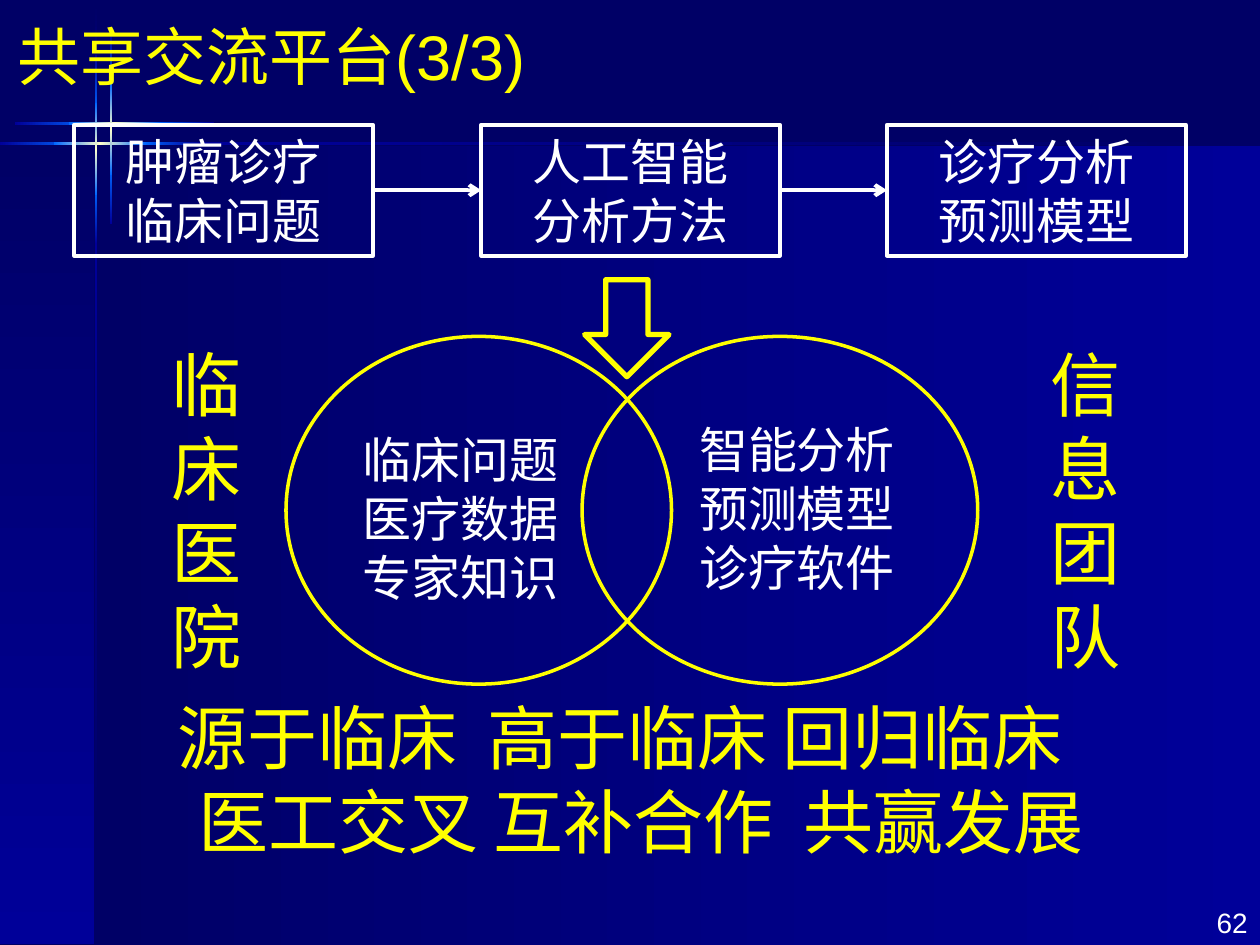
from dataclasses import dataclass

from lxml import etree
from pptx import Presentation
from pptx.dml.color import RGBColor
from pptx.enum.shapes import MSO_CONNECTOR, MSO_SHAPE
from pptx.enum.text import MSO_ANCHOR, MSO_AUTO_SIZE, PP_ALIGN
from pptx.oxml.ns import qn
from pptx.util import Inches, Pt

RECT, OVAL, DOWN = MSO_SHAPE.RECTANGLE, MSO_SHAPE.OVAL, MSO_SHAPE.DOWN_ARROW
LEFT, CENTER, RIGHT = PP_ALIGN.LEFT, PP_ALIGN.CENTER, PP_ALIGN.RIGHT
TOP, MIDDLE = MSO_ANCHOR.TOP, MSO_ANCHOR.MIDDLE
NIGHT, NAVY, BLUE, CREAM = "000066", "000099", "0066FF", "FFFFCC"
WHITE, YELLOW = "FFFFFF", "FFFF00"
TITLE_ONLY = 5
THIN = 0.02


@dataclass
class Box:
    left: float
    top: float
    width: float
    height: float

    def emu(self) -> list:
        return [Inches(v) for v in (self.left, self.top, self.width, self.height)]


@dataclass
class Band:
    box: Box
    colors: tuple
    vertical: bool = False


@dataclass
class Label:
    box: Box
    lines: list
    size: int
    color: str
    align: PP_ALIGN = CENTER


@dataclass
class Outline:
    kind: MSO_SHAPE
    box: Box
    color: str
    weight: float


def rgb(value: str) -> RGBColor:
    return RGBColor.from_string(value)


def add_band(s, band: Band) -> None:
    """Draw a borderless rectangle with evenly spaced gradient stops."""
    sp = s.shapes.add_shape(RECT, *band.box.emu())
    sp.shadow.inherit = False
    sp.line.fill.background()
    sp.fill.gradient()
    sp.fill.gradient_angle = 270 if band.vertical else 0
    gs_list = sp._element.spPr.find(".//" + qn("a:gsLst"))
    for gs in list(gs_list):
        gs_list.remove(gs)
    for i, color in enumerate(band.colors):
        pos = round(100000 * i / (len(band.colors) - 1))
        gs = etree.SubElement(gs_list, qn("a:gs"), pos=str(pos))
        etree.SubElement(gs, qn("a:srgbClr"), val=color)


def cross(dx: float, dy: float) -> list[Band]:
    """Glowing cross: two fading tails and a bright middle in each direction."""
    fades = [(NAVY, BLUE), (BLUE, NAVY), (BLUE, CREAM, BLUE)]
    across = [(0, 0.61), (1.14, 0.44), (0.43, 0.73)]
    down = [(0.44, 0.44), (1.5, 0.44), (0.82, 0.73)]
    return ([Band(Box(x + dx, 1.13 + dy, w, THIN), c) for (x, w), c in zip(across, fades)]
            + [Band(Box(0.75 + dx, y + dy, THIN, h), c, True)
               for (y, h), c in zip(down, fades)])


def add_outline(s, outline: Outline):
    sp = s.shapes.add_shape(outline.kind, *outline.box.emu())
    sp.shadow.inherit = False
    sp.fill.background()
    sp.line.color.rgb = rgb(outline.color)
    sp.line.width = Pt(outline.weight)
    return sp


def write(tf, label: Label, anchor: MSO_ANCHOR) -> None:
    frame = {"word_wrap": True, "auto_size": MSO_AUTO_SIZE.NONE, "vertical_anchor": anchor}
    for name, value in frame.items():
        setattr(tf, name, value)
    for i, line in enumerate(label.lines):
        p = tf.paragraphs[0] if i == 0 else tf.add_paragraph()
        p.alignment = label.align
        r = p.add_run()
        r.text = line
        for name, value in {"name": "Arial", "size": Pt(label.size)}.items():
            setattr(r.font, name, value)
        r.font.color.rgb = rgb(label.color)


def add_label(s, label: Label):
    tf = s.shapes.add_textbox(*label.box.emu()).text_frame
    write(tf, label, TOP)
    return tf


def set_tabs(p, stops: list[float]) -> None:
    tabs = etree.SubElement(p._p.get_or_add_pPr(), qn("a:tabLst"))
    for stop in stops:
        etree.SubElement(tabs, qn("a:tab"), pos=str(Inches(stop)), algn="l")


def add_arrow(s, start, end) -> None:
    """Join the right side of one box to the left side of the next."""
    line = s.shapes.add_connector(MSO_CONNECTOR.STRAIGHT, 0, 0, 0, 0)
    line.begin_connect(start, 3)
    line.end_connect(end, 1)
    line.line.color.rgb = rgb(WHITE)
    line.line.width = Pt(2.25)
    etree.SubElement(line.line._get_or_add_ln(), qn("a:tailEnd"), type="arrow")
    etree.SubElement(line._element.spPr, qn("a:effectLst"))


BANDS = [
    Band(Box(0.75, 1.16, 9.25, 6.34), (NIGHT, NAVY)),
    Band(Box(0, 1.15, 0.75, 6.34), (NIGHT, NAVY), True),
    Band(Box(0.75, 0.02, THIN, 1.21), (NIGHT, NAVY), True),
    Band(Box(0.75, 1.94, THIN, 4.68), (NAVY, NIGHT), True),
    Band(Box(1.53, 1.13, 8.23, THIN), (NAVY, NIGHT)),
    *cross(0, 0),
    *cross(0.12, -0.16),
]
STEPS = [
    (0.59, ["肿瘤诊疗", "临床问题"]),
    (3.82, ["人工智能", "分析方法"]),
    (7.04, ["诊疗分析", "预测模型"]),
]
OUTLINES = [
    Outline(OVAL, Box(2.27, 2.67, 3.06, 2.76), YELLOW, 2),
    Outline(OVAL, Box(4.62, 2.67, 3.14, 2.76), YELLOW, 2),
    Outline(DOWN, Box(4.64, 2.22, 0.67, 0.77), YELLOW, 3),
]
TITLE = Label(Box(0.04, 0.04, 9.06, 0.8), ["共享交流平台(3/3)"], 36, YELLOW, LEFT)
LABELS = [
    Label(Box(9.02, 7.14, 0.98, 0.37), ["62"], 16, WHITE, RIGHT),
    Label(Box(1.26, 2.66, 0.59, 2.79), ["临床医院"], 40, YELLOW),
    Label(Box(8.24, 2.66, 0.69, 2.79), ["信息团队"], 40, YELLOW),
    Label(Box(4.84, 3.28, 2.97, 1.51), ["智能分析", "预测模型", "诊疗软件"], 28, WHITE),
    Label(Box(2.46, 3.36, 2.39, 1.52), ["临床问题", "医疗数据", "专家知识"], 28, WHITE),
]
SLOGAN = Label(Box(0.59, 5.46, 9.06, 2.12),
               ["\t源于临床\t高于临床\t回归临床", "\t医工交叉\t互补合作\t共赢发展"],
               40, YELLOW, LEFT)
SLOGAN_TABS = [[0.72, 3.18, 5.52], [0.89, 3.23, 5.69]]


def main() -> None:
    prs = Presentation()
    prs.slide_width, prs.slide_height = Inches(10), Inches(7.5)
    s = prs.slides.add_slide(prs.slide_layouts[TITLE_ONLY])
    s.background.fill.solid()
    s.background.fill.fore_color.rgb = rgb(NIGHT)
    for band in BANDS:
        add_band(s, band)

    title = s.shapes.title
    title.left, title.top, title.width, title.height = TITLE.box.emu()
    write(title.text_frame, TITLE, MIDDLE)
    s.shapes._spTree.append(title._element)  # in front of the bands

    steps = []
    for left, lines in STEPS:
        box = Box(left, 0.99, 2.37, 1.04)
        sp = add_outline(s, Outline(RECT, box, WHITE, 2.25))
        write(sp.text_frame, Label(box, lines, 28, WHITE), MIDDLE)
        steps.append(sp)
    for start, end in zip(steps, steps[1:]):
        add_arrow(s, start, end)

    for outline in OUTLINES:
        add_outline(s, outline)
    for label in LABELS:
        add_label(s, label)
    for p, stops in zip(add_label(s, SLOGAN).paragraphs, SLOGAN_TABS):
        set_tabs(p, stops)
    prs.save("out.pptx")


if __name__ == "__main__":
    main()
